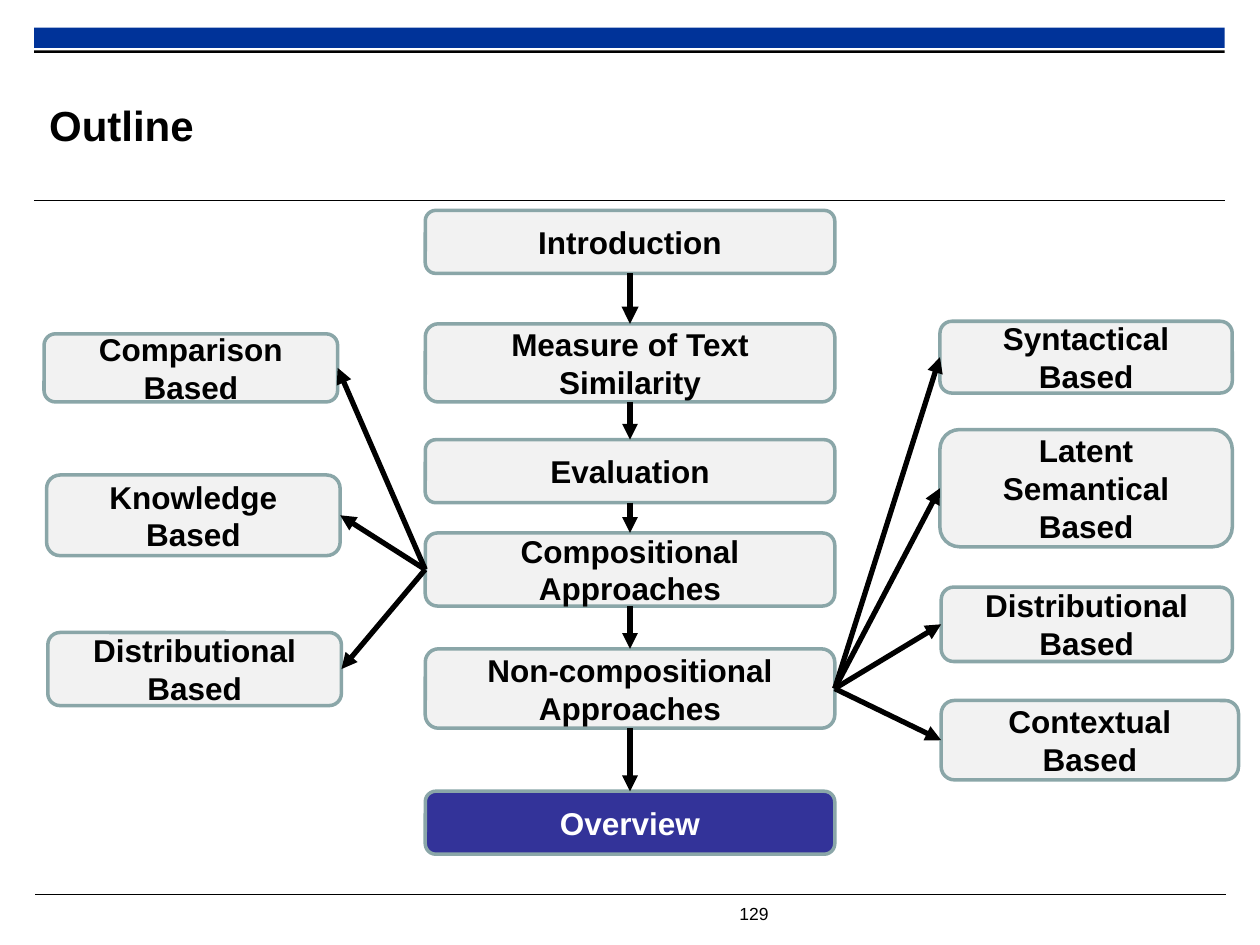
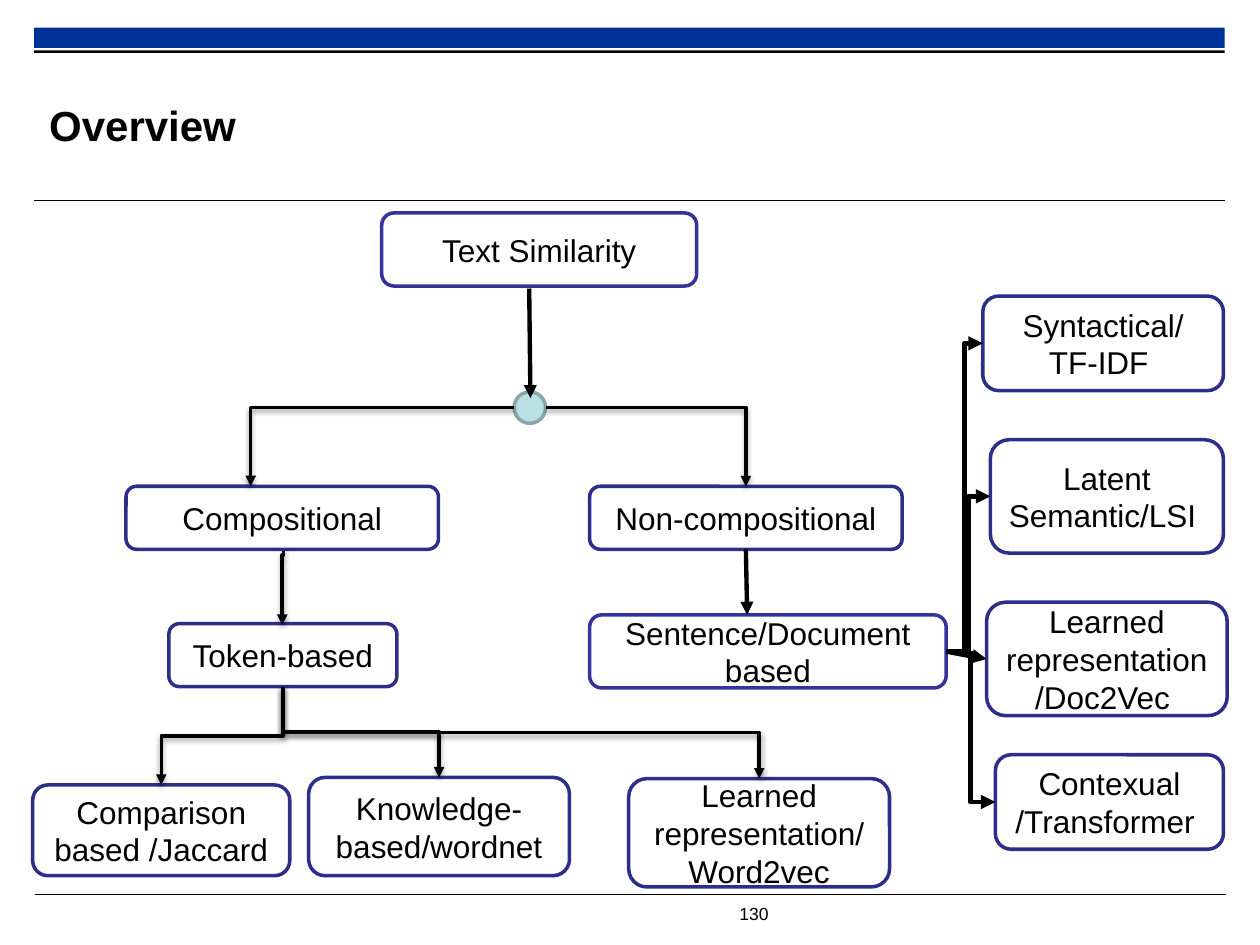
from lxml.etree import SubElement
from pptx import Presentation
from pptx.dml.color import RGBColor
from pptx.enum.shapes import MSO_CONNECTOR, MSO_SHAPE
from pptx.enum.text import MSO_ANCHOR, MSO_AUTO_SIZE, PP_ALIGN
from pptx.oxml.ns import qn
from pptx.util import Inches, Pt

BLACK, WHITE = "000000", "FFFFFF"
BAND_BLUE, INDIGO, NAVY = "003399", "333399", "2D2D8A"
PALE_GREY, GREY_TEAL, PALE_TEAL = "F2F2F2", "8AA6A8", "BBE0E3"
TOP, LEFT, BOTTOM, RIGHT = range(4)


def rgb(hex_color):
    return RGBColor.from_string(hex_color)


def apply_format(target, values):
    for name, value in values.items():
        setattr(target, name, value)


def point(end):
    """Position of (x, y) in inches, or of a (box, side) pair."""
    anchor, side = end
    if not hasattr(anchor, "left"):
        return Inches(anchor), Inches(side)
    x = anchor.left + {LEFT: 0, RIGHT: anchor.width}.get(side, anchor.width // 2)
    y = anchor.top + {TOP: 0, BOTTOM: anchor.height}.get(side, anchor.height // 2)
    return x, y


class Deck:
    font = {"name": "Arial", "size": Pt(18), "bold": False}

    def __init__(self):
        self.prs = Presentation()
        self.prs.slide_width, self.prs.slide_height = Inches(10), Inches(7.5)
        self.slide = None

    def new_slide(self, title, number):
        self.slide = self.prs.slides.add_slide(self.prs.slide_layouts[5])
        # Title
        heading = self.slide.shapes.title
        apply_format(heading, {"left": Inches(0.39), "top": Inches(0.53),
                               "width": Inches(7.11), "height": Inches(0.92)})
        self.label(heading, title, align=PP_ALIGN.LEFT, margin=0,
                   size=Pt(24), bold=True)
        # Bands and rules
        self.shape(MSO_SHAPE.RECTANGLE, (0.27, 0.22, 9.45, 0.16), BAND_BLUE)
        self.shape(MSO_SHAPE.RECTANGLE, (0.27, 0.4, 9.45, 0.02), BLACK)
        for x, y in ((0.27, 1.59), (0.28, 7.1)):
            self.line(MSO_CONNECTOR.STRAIGHT, Inches(x), Inches(y),
                      Inches(x + 9.45), Inches(y), 0.6)
        # Page number
        page = self.slide.shapes.add_textbox(
            *map(Inches, (5.77, 7.12, 0.48, 0.27)))
        self.label(page, number, align=PP_ALIGN.LEFT, wrap=False,
                   anchor=MSO_ANCHOR.TOP, size=Pt(10))

    def label(self, holder, text, color=BLACK, align=PP_ALIGN.CENTER,
              anchor=MSO_ANCHOR.MIDDLE, wrap=True, margin=None, **font):
        frame = holder.text_frame
        frame.text = text
        apply_format(frame, {"auto_size": MSO_AUTO_SIZE.NONE, "word_wrap": wrap,
                             "vertical_anchor": anchor})
        if margin is not None:
            apply_format(frame, {f"margin_{side}": Inches(margin)
                                 for side in ("left", "top", "right", "bottom")})
        paragraph = frame.paragraphs[0]
        paragraph.alignment = align
        apply_format(paragraph.font, {**self.font, **font})
        paragraph.font.color.rgb = rgb(color)

    def shape(self, kind, place, fill, outline=None):
        shape = self.slide.shapes.add_shape(kind, *map(Inches, place))
        shape.shadow.inherit = False
        shape.fill.solid()
        shape.fill.fore_color.rgb = rgb(fill)
        if outline:
            shape.line.color.rgb = rgb(outline)
            shape.line.width = Pt(2)
        else:
            shape.line.fill.background()
        return shape

    def box(self, text, place, fill=WHITE, outline=NAVY, color=BLACK, bold=False):
        box = self.shape(MSO_SHAPE.ROUNDED_RECTANGLE, place, fill, outline)
        self.label(box, text, color, bold=bold)
        return box

    def line(self, kind, x1, y1, x2, y2, width, head=False, shadow=False):
        line = self.slide.shapes.add_connector(kind, x1, y1, x2, y2)
        line.line.color.rgb = rgb(BLACK)
        line.line.width = Pt(width)
        properties = line._element.spPr
        if head:
            SubElement(properties.find(qn("a:ln")), qn("a:tailEnd"), type="triangle")
        effects = SubElement(properties, qn("a:effectLst"))
        if shadow:
            outer = SubElement(effects, qn("a:outerShdw"), blurRad="40000",
                               dist="20000", dir="5400000", rotWithShape="0")
            black = SubElement(outer, qn("a:srgbClr"), val=BLACK)
            SubElement(black, qn("a:alpha"), val="38000")
        return line

    def arrow(self, start, end, width=3):
        arrow = self.line(MSO_CONNECTOR.STRAIGHT, *point(start), *point(end),
                          width, head=True)
        for (anchor, side), connect in ((start, arrow.begin_connect),
                                        (end, arrow.end_connect)):
            if hasattr(anchor, "left"):
                connect(anchor, side)

    def elbow(self, start, end, width=2, vertical=False, corner=False,
              bend=0.5, shadow=True):
        """Bent arrow; vertical sets the first leg, corner means a single bend."""
        (x1, y1), (x2, y2) = point(start), point(end)
        dx, dy = x2 - x1, y2 - y1
        if vertical:
            turn, across, along = (90, dy, -dx) if dx < 0 else (270, -dy, dx)
        else:
            turn, across, along = (180, -dx, -dy) if dx < 0 else (0, dx, dy)
        middle_x, middle_y = (x1 + x2) / 2, (y1 + y2) / 2
        ends = (middle_x - across / 2, middle_y - along / 2,
                middle_x + across / 2, middle_y + along / 2)
        elbow = self.line(MSO_CONNECTOR.ELBOW, *map(round, ends), width,
                          head=True, shadow=shadow)
        properties = elbow._element.spPr
        if turn:
            properties.find(qn("a:xfrm")).set("rot", str(turn * 60000))
        geometry = properties.find(qn("a:prstGeom"))
        if corner:
            geometry.set("prst", "bentConnector2")
        elif bend != 0.5:
            SubElement(geometry.find(qn("a:avLst")), qn("a:gd"), name="adj1",
                       fmla=f"val {round(bend * 100000)}")


def outline_slide(deck):
    deck.new_slide("Outline", "129")
    topic = {"fill": PALE_GREY, "outline": GREY_TEAL, "bold": True}

    # Main sequence
    width = 3.25
    steps = [deck.box(text, ((10 - width) / 2, top, width, height), **topic)
             for text, top, height in (
                 ("Introduction", 1.67, 0.5),
                 ("Measure of Text Similarity", 2.57, 0.62),
                 ("Evaluation", 3.49, 0.5),
                 ("Compositional Approaches", 4.23, 0.58),
                 ("Non-compositional Approaches", 5.15, 0.63))]
    steps.append(deck.box("Overview", ((10 - width) / 2, 6.28, width, 0.5),
                          **{**topic, "fill": INDIGO, "color": WHITE}))
    for index, (step, following) in enumerate(zip(steps, steps[1:])):
        deck.arrow((step, BOTTOM), (following, TOP), 3 if index else 3.25)

    # Branches of the two approaches
    compositional, non_compositional = steps[3:5]
    branches = (
        (compositional, LEFT, RIGHT, (
            ("Comparison Based", (0.35, 2.65, 2.33, 0.54)),
            ("Knowledge Based", (0.37, 3.77, 2.33, 0.64)),
            ("Distributional Based", (0.38, 5.02, 2.33, 0.58)))),
        (non_compositional, RIGHT, LEFT, (
            ("Syntactical Based", (7.46, 2.55, 2.32, 0.57)),
            ("Latent Semantical Based", (7.46, 3.41, 2.32, 0.93)),
            ("Distributional Based", (7.47, 4.66, 2.31, 0.59)),
            ("Contextual Based", (7.47, 5.56, 2.36, 0.63)))))
    for approach, out_side, in_side, methods in branches:
        for text, place in methods:
            method = deck.box(text, place, **topic)
            deck.arrow((approach, out_side), (method, in_side))


def overview_slide(deck):
    deck.new_slide("Overview", "130")

    # Root and fork
    deck.box("Text Similarity", (3.03, 1.69, 2.5, 0.58), outline=INDIGO)
    fork = deck.shape(MSO_SHAPE.OVAL, (4.08, 3.11, 0.25, 0.25),
                      PALE_TEAL, GREY_TEAL)
    deck.arrow((4.2, 2.29), (4.21, 3.16), 2.5)
    deck.box("Compositional", (1, 3.86, 2.48, 0.5))
    non_compositional = deck.box("Non-compositional", (4.68, 3.86, 2.48, 0.5))
    deck.elbow((fork, LEFT), (1.99, 3.86), corner=True)
    deck.elbow((fork, RIGHT), (non_compositional, TOP), corner=True)

    # Token-based methods
    token = deck.box("Token-based", (1.34, 4.95, 1.81, 0.5))
    deck.elbow((2.25, 4.37), (2.24, 4.96), vertical=True, bend=0.06)
    for text, place in (
            ("Comparison based /Jaccard", (0.26, 6.23, 2.04, 0.72)),
            ("Knowledge-based/wordnet", (2.45, 6.17, 2.07, 0.78)),
            ("Learned representation/Word2vec", (4.99, 6.18, 2.07, 0.86))):
        method = deck.box(text, place)
        deck.elbow((token, BOTTOM), (method, TOP), vertical=True)

    # Sentence and document methods
    sentence = deck.box("Sentence/Document based", (4.68, 4.88, 2.83, 0.58),
                        outline=INDIGO)
    deck.arrow((non_compositional, BOTTOM), (5.93, 4.88), 2.5)
    syntactical, latent, learned, contextual = [
        deck.box(text, place) for text, place in (
            ("Syntactical/TF-IDF ", (7.8, 2.35, 1.91, 0.75)),
            ("Latent Semantic/LSI ", (7.86, 3.49, 1.85, 0.9)),
            ("Learned representation/Doc2Vec ", (7.83, 4.78, 1.91, 0.9)),
            ("Contexual /Transformer ", (7.9, 5.99, 1.81, 0.75)))]
    for method in (syntactical, latent):
        deck.elbow((sentence, RIGHT), (method, LEFT), 2.75, shadow=False)
    deck.arrow((sentence, RIGHT), (learned, LEFT), 2.75)
    deck.elbow((7.7, 5.17), (contextual, LEFT), 2.75, vertical=True,
               corner=True, shadow=False)


def main():
    deck = Deck()
    outline_slide(deck)
    overview_slide(deck)
    deck.prs.save("out.pptx")


if __name__ == "__main__":
    main()
